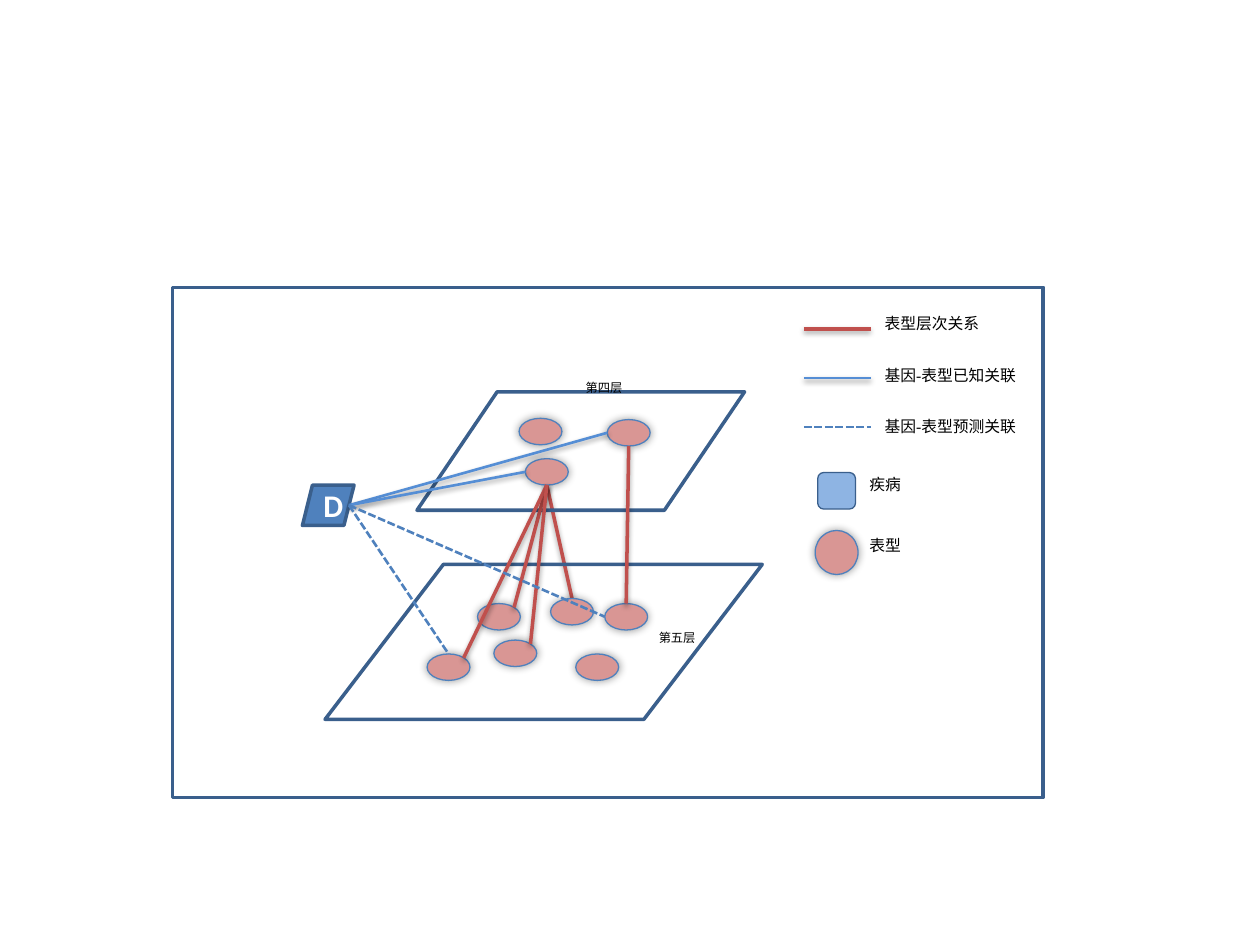
import math
from dataclasses import dataclass

import pptx
import pptx.dml.color
import pptx.enum.dml
import pptx.enum.shapes
import pptx.enum.text
import pptx.oxml
import pptx.oxml.ns
import pptx.util
from pptx.util import Inches

SHAPES = pptx.enum.shapes.MSO_SHAPE


@dataclass(frozen=True)
class Theme:
    outline: str = "3A5F8C"
    accent: str = "4F81BD"
    known: str = "558ED5"
    hierarchy: str = "C0504D"
    phenotype: str = "D99694"
    disease: str = "8EB4E3"
    black: str = "000000"
    white: str = "FFFFFF"
    body_font: str = "Calibri"
    legend_font: str = "Times New Roman"
    disease_size: float = 18
    legend_size: float = 9
    layer_size: float = 7
    thick: float = 2
    medium: float = 1.5
    thin: float = 0.75


THEME = Theme()

# Line styles: colour, width, dashed
HIERARCHY = (THEME.hierarchy, THEME.thick, False)
KNOWN = (THEME.known, THEME.medium, False)
PREDICTED = (THEME.accent, THEME.medium, True)

# Shadows: blur, distance (points), direction (degrees), opacity (percent)
LINE_SHADOW = (3.1, 1.6, 90, 38)
GLOW_SHADOW = (5, 0, 0, 40)

NODE_WIDTH, NODE_HEIGHT = 0.34, 0.21
UPPER_NODES = {"a": (4.12, 3.32), "b": (4.17, 3.64), "c": (4.82, 3.33)}
LOWER_NODES = {
    "d": (3.79, 4.79), "e": (4.57, 5.19), "f": (3.92, 5.08),
    "g": (4.8, 4.79), "h": (4.37, 4.75), "i": (3.39, 5.19),
}
NODES = UPPER_NODES | LOWER_NODES
DISEASE_PORT = (2.77, 4.01)


def rgb(value):
    return pptx.dml.color.RGBColor.from_string(value)


def set_effects(element, shadow=None):
    """Replace inherited effects with none, or with one outer shadow."""
    content = ""
    if shadow:
        blur, distance, direction, opacity = shadow
        content = (
            f'<a:outerShdw blurRad="{pptx.util.Pt(blur)}" dist="{pptx.util.Pt(distance)}" '
            f'dir="{direction * 60000}" rotWithShape="0"><a:srgbClr val="{THEME.black}">'
            f'<a:alpha val="{opacity * 1000}"/></a:srgbClr></a:outerShdw>'
        )
    namespace = pptx.oxml.ns.nsdecls("a")
    element.spPr.append(
        pptx.oxml.parse_xml(f"<a:effectLst {namespace}>{content}</a:effectLst>")
    )


def add_box(slide, kind, box, fill=None, line=THEME.outline, width=THEME.thick,
            shadow=None, adjustment=None):
    shape = slide.shapes.add_shape(kind, *map(Inches, box))
    if adjustment is not None:
        shape.adjustments[0] = adjustment
    if fill:
        shape.fill.solid()
        shape.fill.fore_color.rgb = rgb(fill)
    else:
        shape.fill.background()
    shape.line.color.rgb = rgb(line)
    shape.line.width = pptx.util.Pt(width)
    set_effects(shape._element, shadow)
    return shape


def add_phenotype(slide, left, top, width=NODE_WIDTH, height=NODE_HEIGHT):
    add_box(slide, SHAPES.OVAL, (left, top, width, height), THEME.phenotype,
            THEME.accent, THEME.thin, GLOW_SHADOW)


def add_line(slide, start, end, style):
    color, width, dashed = style
    line = slide.shapes.add_connector(
        pptx.enum.shapes.MSO_CONNECTOR.STRAIGHT, *map(Inches, (*start, *end)))
    line.line.color.rgb = rgb(color)
    line.line.width = pptx.util.Pt(width)
    if dashed:
        line.line.dash_style = pptx.enum.dml.MSO_LINE.SQUARE_DOT
    set_effects(line._element, None if dashed else LINE_SHADOW)


def format_text(text_frame, text, font, size, color, bold=False):
    text_frame.text = text
    run_font = text_frame.paragraphs[0].runs[0].font
    run_font.name = font
    run_font.size = pptx.util.Pt(size)
    run_font.bold = bold
    run_font.color.rgb = rgb(color)


def add_label(slide, text, box, font, size, inset=True):
    text_frame = slide.shapes.add_textbox(*map(Inches, box)).text_frame
    text_frame.word_wrap = True
    if not inset:
        text_frame.margin_left = text_frame.margin_right = 0
        text_frame.margin_top = text_frame.margin_bottom = 0
    format_text(text_frame, text, font, size, THEME.black)


def rim(name, angle):
    """Point on a phenotype's outline; 0 is right and 90 is the top."""
    left, top = NODES[name]
    radians = math.radians(angle)
    return (left + NODE_WIDTH / 2 * (1 + math.cos(radians)),
            top + NODE_HEIGHT / 2 * (1 - math.sin(radians)))


def add_legend(slide):
    # Line samples
    for text, line_top, text_top, style in (
        ("表型层次关系", 2.61, 2.49, HIERARCHY),
        ("基因-表型已知关联", 3, 2.9, KNOWN),
        ("基因-表型预测关联", 3.39, 3.31, PREDICTED),
    ):
        add_line(slide, (6.38, line_top), (6.91, line_top), style)
        add_label(slide, text, (7.02, text_top, 1.68, 0.23),
                  THEME.legend_font, THEME.legend_size, inset=False)

    # Node samples
    add_box(slide, SHAPES.ROUNDED_RECTANGLE, (6.49, 3.75, 0.3, 0.29),
            THEME.disease, width=THEME.thin)
    add_phenotype(slide, 6.47, 4.21, 0.34, 0.35)
    for text, top in (("疾病", 3.77), ("表型", 4.25)):
        add_label(slide, text, (6.9, top, 0.88, 0.23),
                  THEME.legend_font, THEME.legend_size, inset=False)


def add_disease(slide):
    shape = add_box(slide, SHAPES.PARALLELOGRAM, (2.4, 3.85, 0.41, 0.32), THEME.accent)
    text_frame = shape.text_frame
    text_frame.vertical_anchor = pptx.enum.text.MSO_ANCHOR.MIDDLE
    format_text(text_frame, "D", THEME.body_font, THEME.disease_size, THEME.white, True)
    text_frame.paragraphs[0].alignment = pptx.enum.text.PP_ALIGN.CENTER


def add_relations(slide):
    # Hierarchy between the two layers
    parent = rim("b", 270)
    for child in "dif":
        add_line(slide, parent, rim(child, 45), HIERARCHY)
    add_line(slide, rim("c", 270), rim("g", 90), HIERARCHY)

    # Known and predicted associations of the disease
    for name, angle, style in (("c", 180, KNOWN), ("b", 180, KNOWN),
                               ("g", 180, PREDICTED), ("i", 90, PREDICTED)):
        add_line(slide, DISEASE_PORT, rim(name, angle), style)


def main():
    presentation = pptx.Presentation()
    presentation.slide_width = Inches(10)
    presentation.slide_height = Inches(7.5)
    slide = presentation.slides.add_slide(presentation.slide_layouts[6])

    # The link behind the nodes, then frame and legend
    add_line(slide, rim("b", 270), rim("h", 90), HIERARCHY)
    add_box(slide, SHAPES.RECTANGLE, (1.37, 2.28, 6.91, 4.05))
    add_legend(slide)

    # Layers and nodes
    add_box(slide, SHAPES.PARALLELOGRAM, (3.31, 3.11, 2.6, 0.94), adjustment=0.677)
    add_box(slide, SHAPES.PARALLELOGRAM, (2.58, 4.48, 2.54 + 0.93, 1.23), adjustment=0.764)
    add_disease(slide)
    for position in NODES.values():
        add_phenotype(slide, *position)
    for text, left, top in (("第四层", 4.55, 2.97), ("第五层", 5.13, 4.95)):
        add_label(slide, text, (left, top, 0.89, 0.33), THEME.body_font, THEME.layer_size)

    add_relations(slide)
    presentation.save("out.pptx")


if __name__ == "__main__":
    main()
